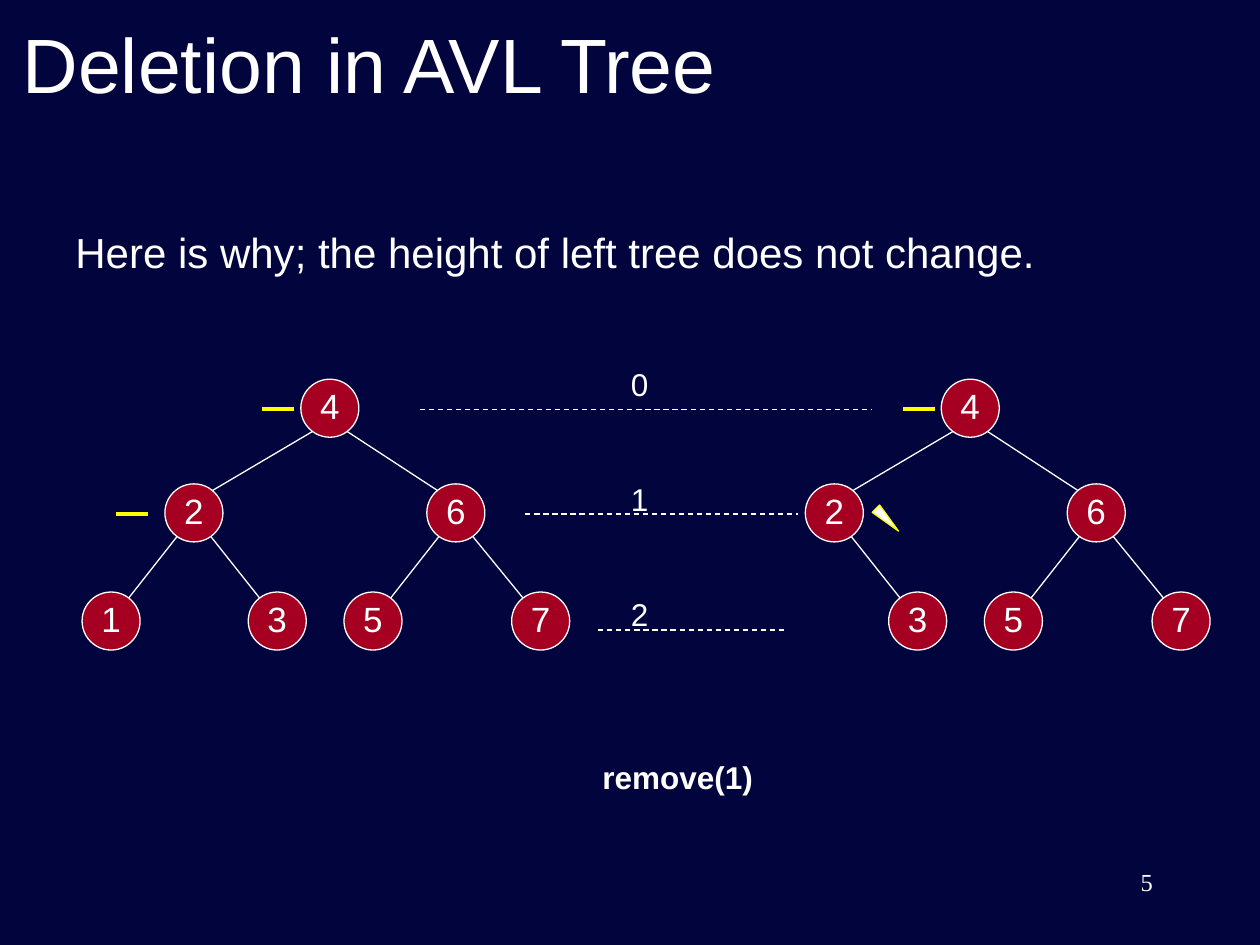
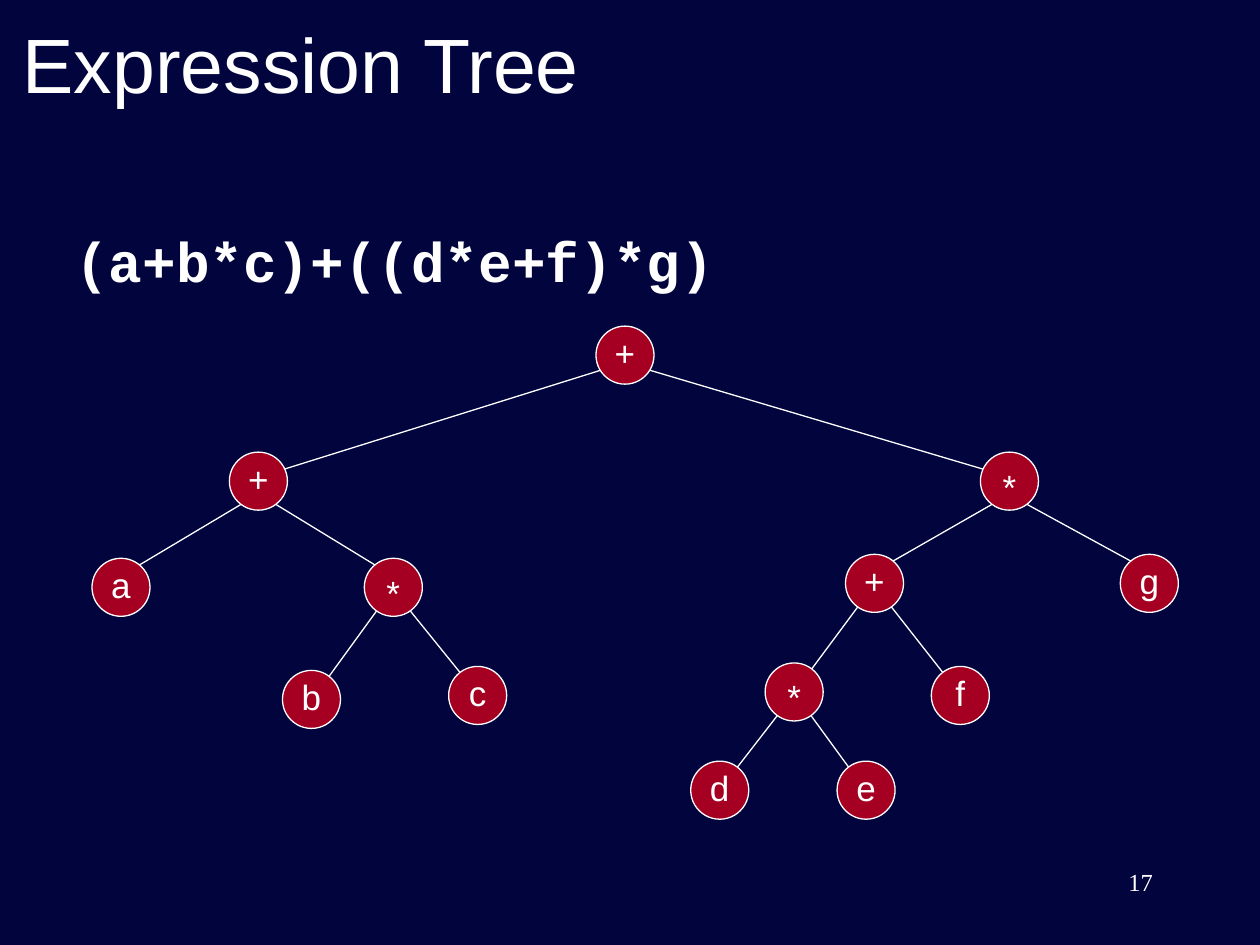
from lxml.etree import SubElement
from pptx import Presentation
from pptx.dml.color import RGBColor
from pptx.enum.dml import MSO_LINE
from pptx.enum.shapes import MSO_CONNECTOR, MSO_SHAPE
from pptx.enum.text import MSO_ANCHOR, PP_ALIGN
from pptx.oxml.ns import qn
from pptx.util import Cm, Pt

NAVY, RED, WHITE, YELLOW = "01043D", "A50021", "FFFFFF", "FFFF00"
NODE = 1.17  # node diameter in cm

# Each node: label, centre x and y within the tree's box, index of its parent
SEARCH = [
    ("4", 5, 0.58, None),
    ("2", 2.26, 2.69, 0), ("6", 7.54, 2.69, 0),
    ("3", 3.94, 4.87, 1), ("5", 5.87, 4.87, 2), ("7", 9.25, 4.87, 2),
]
FULL = SEARCH + [("1", 0.59, 4.87, 1)]
FORMULA = [
    ("+", 10.74, 0.58, None),
    ("+", 3.35, 3.12, 0), ("*", 18.49, 3.12, 0),
    ("a", 0.58, 5.26, 1), ("*", 6.07, 5.26, 1),
    ("+", 15.77, 5.18, 2), ("g", 21.31, 5.18, 2),
    ("b", 4.42, 7.52, 4), ("c", 7.77, 7.44, 4),
    ("*", 14.15, 7.37, 5), ("f", 17.5, 7.44, 5),
    ("d", 12.65, 9.35, 9), ("e", 15.6, 9.35, 9),
]


def paint(target, colour):
    """Give a fill or line fill one solid colour."""
    target.solid()
    target.fore_color.rgb = RGBColor.from_string(colour)


def write(frame, words, size, face="Arial", bold=False, align=PP_ALIGN.LEFT,
          before=0, spacing=1.0):
    frame.text = words
    para = frame.paragraphs[0]
    para.alignment = align
    para.space_before = Pt(before)
    para.line_spacing = spacing
    para.font.size = Pt(size)
    para.font.name = face
    para.font.bold = bold
    paint(para.font.fill, WHITE)


def label(slide, box, words, size, wrap=True, **style):
    frame = slide.shapes.add_textbox(*map(Cm, box)).text_frame
    frame.word_wrap = wrap
    write(frame, words, size, **style)


def stroke(slide, start, end, colour=WHITE, width=0.75, dash=None):
    """Draw a straight line without a shadow."""
    line = slide.shapes.add_connector(
        MSO_CONNECTOR.STRAIGHT, *map(Cm, (*start, *end)))
    paint(line.line.fill, colour)
    line.line.width = Pt(width)
    if dash:
        line.line.dash_style = dash
    SubElement(line._element.spPr, qn("a:effectLst"))


def solid(slide, kind, box, fill, edge):
    """Add a filled and outlined preset shape."""
    shape = slide.shapes.add_shape(kind, *map(Cm, box))
    shape.shadow.inherit = False
    paint(shape.fill, fill)
    paint(shape.line.fill, edge)
    shape.line.width = Pt(0.75)
    return shape


def node(slide, x, y, sign):
    """Add a circle centred on x, y with its sign inside."""
    disc = solid(slide, MSO_SHAPE.OVAL,
                 (x - NODE / 2, y - NODE / 2, NODE, NODE), RED, WHITE)
    frame = disc.text_frame
    frame.word_wrap = False
    frame.vertical_anchor = MSO_ANCHOR.MIDDLE
    frame.margin_left = frame.margin_right = 0
    # An asterisk sits high in its line, so it is pushed down
    low = sign == "*"
    frame.margin_top = Cm(0.2 if low else 0)
    frame.margin_bottom = Cm(0 if low else 0.1)
    write(frame, sign, 20, align=PP_ALIGN.CENTER)


def tree(slide, left, top, nodes):
    """Draw the edges first, then the nodes over them."""
    for _, x, y, root in nodes:
        if root is None:
            continue
        _, px, py, _ = nodes[root]
        side = 0.32 if x > px else -0.32
        wide = abs(x - px) > 6
        down, up = (0.25, 0.18) if wide else (0.45, 0.42)
        stroke(slide, (left + px + side, top + py + down),
               (left + x - side, top + y - up))
    for sign, x, y, _ in nodes:
        node(slide, left + x, top + y, sign)


def bar(slide, x, y):
    """Mark a balanced node with a short yellow line."""
    stroke(slide, (x, y), (x + 0.64, y), YELLOW, 2.25)


def levels(slide, left, top):
    """Draw the dashed, numbered depth lines between the trees."""
    spans = [(0, 9.12, 0), (2.13, 7.62, 2.11), (3.6, 7.42, 4.45)]
    for depth, (start, end, y) in enumerate(spans):
        stroke(slide, (left + start, top + y), (left + end, top + y),
               dash=MSO_LINE.DASH)
        label(slide, (left + 4.01, top - 0.93 + 2.32 * depth, 0.86, 0.94),
              str(depth), 18, wrap=False, before=4.5, spacing=0.9)


def page(deck, title, number):
    """Add a slide with the shared title style and page number."""
    slide = deck.slides.add_slide(deck.slide_layouts[5])
    head = slide.shapes.title
    head.left, head.top, head.width, head.height = map(
        Cm, (0.2, 0, 22.86, 2.54))
    head.text_frame.vertical_anchor = MSO_ANCHOR.MIDDLE
    write(head.text_frame, title, 44)
    label(slide, (18.2, 17.35, 5.29, 1.27), str(number), 14,
          face="Times New Roman", align=PP_ALIGN.RIGHT)
    return slide


def deletion(deck):
    slide = page(deck, "Deletion in AVL Tree", 5)
    label(slide, (1.27, 4.45, 22.86, 1.47),
          "Here is why; the height of left tree does not change.", 24,
          before=6)
    top = 7.65
    for left, nodes in ((1.65, FULL), (14.56, SEARCH)):
        tree(slide, left, top, nodes)
        bar(slide, left + 3.64, top + 0.6)
    bar(slide, 2.34, top + 2.72)
    wedge = solid(slide, MSO_SHAPE.ISOSCELES_TRIANGLE,
                  (17.78, 10.16, 0.21, 0.64), WHITE, YELLOW)
    wedge.rotation = 134.8
    levels(slide, 8.46, 8.25)
    label(slide, (11.86, 15.24, 3.6, 0.94), "remove(1)", 18, bold=True,
          align=PP_ALIGN.CENTER, before=11.2, spacing=0.9)


def expression(deck):
    slide = page(deck, "Expression Tree", 17)
    label(slide, (1.27, 4.45, 22.86, 2.33), "(a+b*c)+((d*e+f)*g)", 32,
          face="Courier New", bold=True, before=8)
    tree(slide, 1.86, 6.58, FORMULA)


def main():
    deck = Presentation()
    deck.slide_width, deck.slide_height = Cm(25.4), Cm(19.05)
    paint(deck.slide_master.background.fill, NAVY)
    deletion(deck)
    expression(deck)
    deck.save("out.pptx")


if __name__ == "__main__":
    main()
